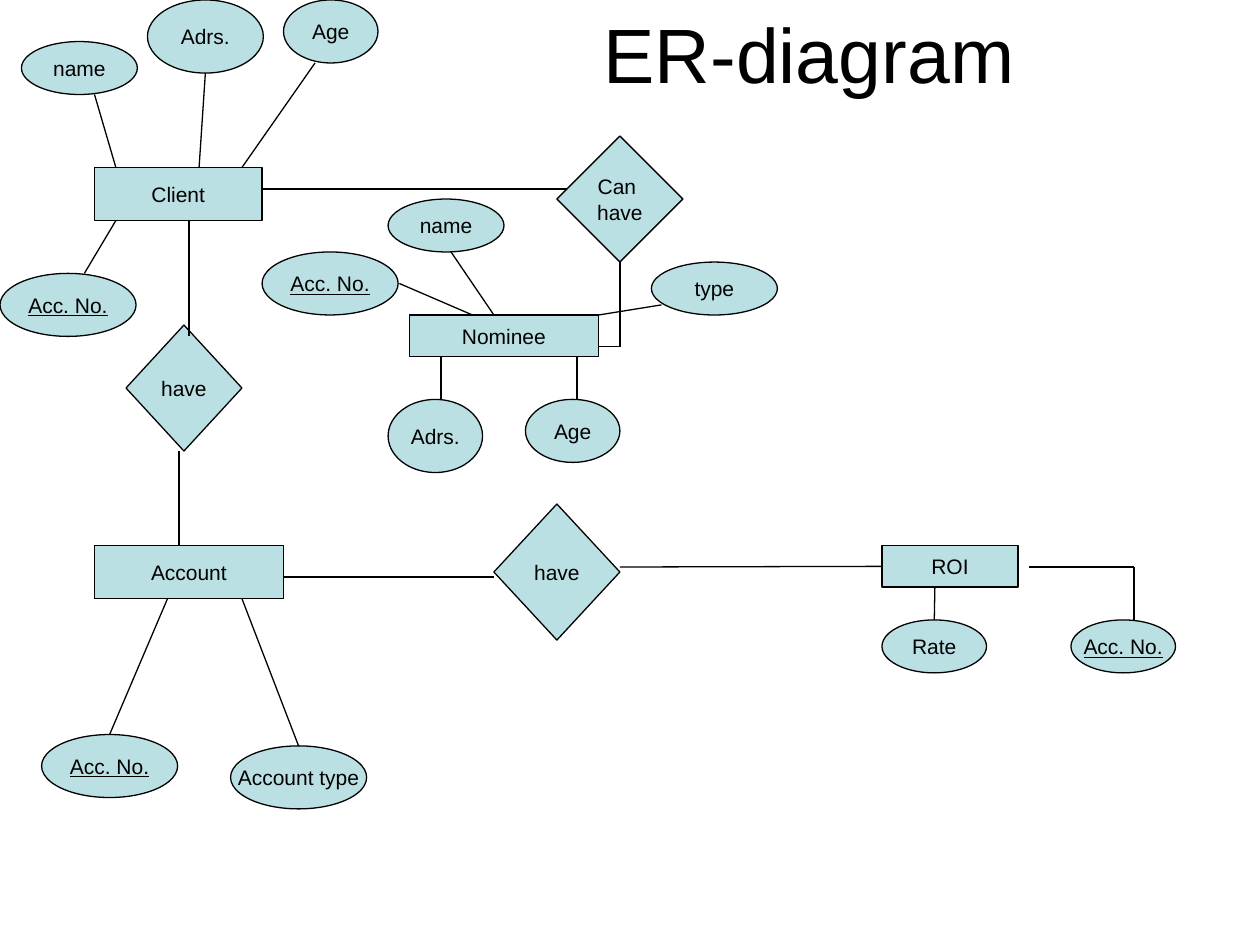
from dataclasses import dataclass
from typing import Any

from lxml import etree
from pptx import Presentation
from pptx import util as u
from pptx.dml.color import RGBColor
from pptx.enum import shapes, text
from pptx.oxml import ns

BLACK = RGBColor(0x00, 0x00, 0x00)
PALE_TEAL = RGBColor(0xBB, 0xE0, 0xE3)
FONT = "Arial"
ENTITY = shapes.MSO_SHAPE.RECTANGLE
RELATION = shapes.MSO_SHAPE.DIAMOND
ATTRIBUTE = shapes.MSO_SHAPE.OVAL
TOP, LEFT, BOTTOM = 0, 1, 2


def write(paragraph, words, size, underline=None):
    run = paragraph.add_run()
    run.text = words
    run.font.name = FONT
    run.font.size = u.Pt(size)
    run.font.color.rgb = BLACK
    run.font.underline = underline


@dataclass
class Region:
    slide: Any
    left: float
    top: float

    def place(self, x, y):
        return u.Inches(self.left + x), u.Inches(self.top + y)

    def node(self, kind, label, x, y, width, height, key=None):
        node = self.slide.shapes.add_shape(
            kind, *self.place(x, y), u.Inches(width), u.Inches(height))
        node.shadow.inherit = False
        node.fill.solid()
        node.fill.fore_color.rgb = PALE_TEAL
        node.line.color.rgb = BLACK
        node.line.width = u.Pt(0.75)
        frame = node.text_frame
        frame.word_wrap = False
        frame.vertical_anchor = text.MSO_ANCHOR.MIDDLE
        for i, words in enumerate(label.split("\n")):
            paragraph = frame.add_paragraph() if i else frame.paragraphs[0]
            paragraph.alignment = text.PP_ALIGN.CENTER
            write(paragraph, words, 12, key)
        return node

    def link(self, start, end, source=None, target=None):
        link = self.slide.shapes.add_connector(
            shapes.MSO_CONNECTOR.STRAIGHT, *self.place(*start), *self.place(*end))
        link.line.color.rgb = BLACK
        link.line.width = u.Pt(0.75)
        etree.SubElement(link._element.spPr, ns.qn("a:effectLst"))
        if source:
            link.begin_connect(*source)
        if target:
            link.end_connect(*target)


def add_title(slide, left, top, width, height):
    title = slide.shapes.add_textbox(*map(u.Inches, (left, top, width, height)))
    frame = title.text_frame
    frame.word_wrap = True
    frame.margin_left = u.Inches(1.29)
    write(frame.paragraphs[0], "ER-diagram", 44)


def add_client(slide, left, top):
    client = Region(slide, left, top)
    client.node(ENTITY, "Client", 0.75, 1.33, 1.33, 0.42)
    client.node(ATTRIBUTE, "name", 0.17, 0.33, 0.92, 0.42)
    client.node(ATTRIBUTE, "Adrs.", 1.17, 0, 0.92, 0.58)
    client.node(ATTRIBUTE, "Age", 2.25, 0, 0.75, 0.5)
    client.node(ATTRIBUTE, "Acc. No.", 0, 2.17, 1.08, 0.5, key=True)
    client.link((0.75, 0.75), (0.92, 1.33))
    client.link((1.63, 0.58), (1.58, 1.33))
    client.link((2.5, 0.5), (1.92, 1.33))
    client.link((0.67, 2.17), (0.92, 1.75))


def add_nominee(slide, left, top):
    nominee = Region(slide, left, top)
    nominee.node(ENTITY, "Nominee", 1.17, 0.92, 1.5, 0.33)
    nominee.node(ATTRIBUTE, "name", 1, 0, 0.92, 0.42)
    nominee.node(ATTRIBUTE, "Acc. No.", 0, 0.42, 1.08, 0.5, key=True)
    nominee.node(ATTRIBUTE, "type", 3.09, 0.5, 1, 0.42)
    nominee.node(ATTRIBUTE, "Adrs.", 1, 1.59, 0.75, 0.58)
    nominee.node(ATTRIBUTE, "Age", 2.09, 1.59, 0.75, 0.5)
    nominee.link((1.5, 0.42), (1.84, 0.92))
    nominee.link((1.09, 0.67), (1.67, 0.92))
    nominee.link((2.67, 0.92), (3.17, 0.84))
    for x in (1.42, 2.5):
        nominee.link((x, 1.25), (x, 1.59))


def add_account(slide, left, top):
    account = Region(slide, left, top)
    account.node(ENTITY, "Account", 0.42, 0, 1.5, 0.42)
    number = account.node(ATTRIBUTE, "Acc. No.", 0, 1.5, 1.08, 0.5, key=True)
    kind = account.node(ATTRIBUTE, "Account type", 1.5, 1.59, 1.08, 0.5)
    account.link((1, 0.42), (0.54, 1.5), target=(number, TOP))
    account.link((1.59, 0.42), (2.04, 1.59), target=(kind, TOP))


def add_roi(slide, left, top):
    interest = Region(slide, left, top)
    roi = interest.node(ENTITY, "ROI", 0, 0, 1.08, 0.33)
    rate = interest.node(ATTRIBUTE, "Rate", 0, 0.59, 0.83, 0.42)
    interest.node(ATTRIBUTE, "Acc. No.", 1.5, 0.59, 0.83, 0.42, key=True)
    interest.link((0.42, 0.33), (0.42, 0.59), target=(rate, TOP))
    interest.link((1.17, 0.17), (2, 0.17))
    interest.link((2, 0.17), (2, 0.59))
    return roi


def add_relations(slide, left, top, roi):
    relations = Region(slide, left, top)
    can_have = relations.node(RELATION, "Can \nhave", 3.42, 0, 1, 1)
    relations.node(RELATION, "have", 0, 1.5, 0.92, 1)
    relations.node(RELATION, "have", 2.92, 2.92, 1, 1.08)
    relations.link((1.08, 0.42), (3.5, 0.42))
    relations.link((0.5, 0.67), (0.5, 1.59))
    relations.link((0.42, 2.5), (0.42, 3.25))
    relations.link((1.25, 3.5), (2.92, 3.5))
    relations.link((3.92, 3.42), (6, 3.42), target=(roi, LEFT))
    relations.link((3.92, 1), (3.92, 1.67), source=(can_have, BOTTOM))
    relations.link((3.75, 1.67), (3.92, 1.67))


def main():
    deck = Presentation()
    deck.slide_width, deck.slide_height = u.Inches(10), u.Inches(7.5)
    slide = deck.slides.add_slide(deck.slide_layouts[6])
    add_client(slide, 0, 0)
    add_nominee(slide, 2.08, 1.58)
    add_account(slide, 0.33, 4.33)
    roi = add_roi(slide, 7, 4.33)
    add_relations(slide, 1, 1.08, roi)
    add_title(slide, 3.5, 0, 6.75, 0.84)
    deck.save("out.pptx")


if __name__ == "__main__":
    main()
